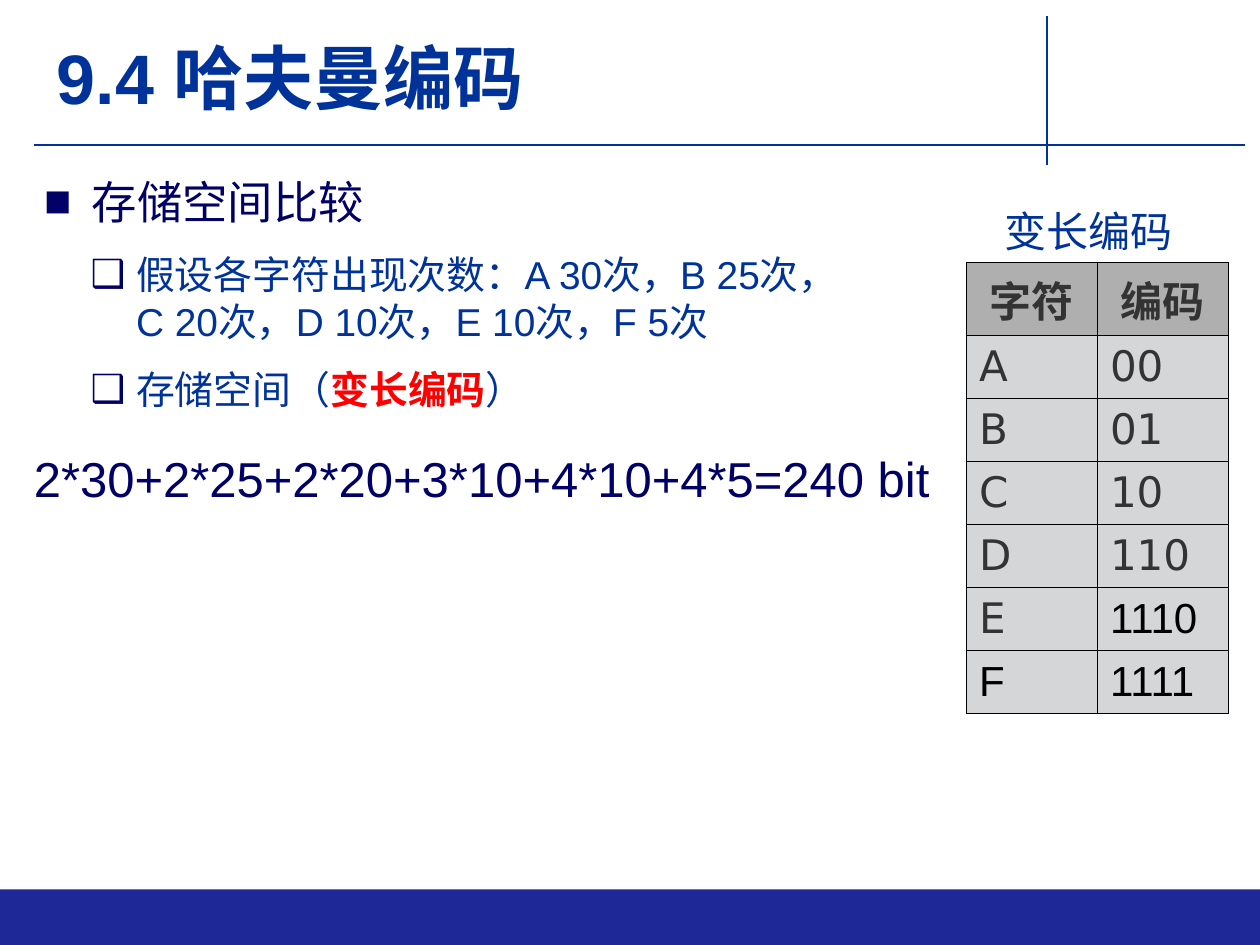
from dataclasses import dataclass

from lxml import etree
from pptx import Presentation
from pptx.dml.color import RGBColor
from pptx.enum.shapes import MSO_CONNECTOR, MSO_SHAPE
from pptx.enum.text import MSO_ANCHOR, MSO_AUTO_SIZE, PP_ALIGN
from pptx.oxml.ns import qn
from pptx.util import Emu, Inches, Pt

STRAIGHT = MSO_CONNECTOR.STRAIGHT
RECTANGLE = MSO_SHAPE.RECTANGLE
TOP, MIDDLE = MSO_ANCHOR.TOP, MSO_ANCHOR.MIDDLE
NO_AUTOFIT = MSO_AUTO_SIZE.NONE
LEFT, CENTER = PP_ALIGN.LEFT, PP_ALIGN.CENTER

BLUE = RGBColor(0x00, 0x33, 0x99)
NAVY = RGBColor(0x00, 0x00, 0x66)
BAND_BLUE = RGBColor(0x1E, 0x28, 0x96)
RED = RGBColor(0xFF, 0x00, 0x00)
BLACK = RGBColor(0x00, 0x00, 0x00)
DARK_GRAY = RGBColor(0x33, 0x33, 0x33)
HEADER_GRAY = RGBColor(0xAF, 0xAF, 0xAF)
CELL_GRAY = RGBColor(0xD5, 0xD6, 0xD7)

# The slide is a grid of 100 columns and 75 rows.
SLIDE_WIDTH, SLIDE_HEIGHT = Inches(10), Inches(7.5)
COLUMN, ROW = SLIDE_WIDTH / 100, SLIDE_HEIGHT / 75


@dataclass(frozen=True)
class Box:
    """An area given in grid columns and rows."""
    left: float
    top: float
    width: float
    height: float

    def emu(self) -> tuple[Emu, Emu, Emu, Emu]:
        return (Emu(round(self.left * COLUMN)), Emu(round(self.top * ROW)),
                Emu(round(self.width * COLUMN)), Emu(round(self.height * ROW)))


@dataclass(frozen=True)
class TextStyle:
    size: float
    color: RGBColor
    name: str = "Arial"
    bold: bool = False


@dataclass(frozen=True)
class Bullet:
    runs: tuple[str, ...]
    level: int
    symbol: str
    margin: float
    hanging: float
    spacing: float
    style: TextStyle
    emphasis: str = ""


@dataclass(frozen=True)
class CodeCell:
    label: str
    style: TextStyle


TITLE = TextStyle(40, BLUE, bold=True)
TOPIC = TextStyle(25.9, NAVY)
DETAIL = TextStyle(22.2, BLUE)
CAPTION = TextStyle(24, BLUE)
FORMULA = TextStyle(28, NAVY)
HEADER = TextStyle(24, DARK_GRAY, "DejaVu Sans", True)
CODE = TextStyle(24, DARK_GRAY, "DejaVu Sans")
NEW_CODE = TextStyle(24, BLACK)

RULES = (Box(2.7, 11.5, 96.1, 0), Box(83.1, 1.3, 0, 11.8))
BULLETS = (
    Bullet(("存储空间比较",), 0, "■", 0.38, 0.38, 7, TOPIC),
    Bullet(("假设各字符出现次数：A 30次，B 25次，\vC 20次，D 10次，E 10次，F 5次",),
           1, "❑", 0.73, 0.36, 6, DETAIL),
    Bullet(("存储空间（", "变长编码", "）"), 1, "❑", 0.73, 0.36, 6, DETAIL, "变长编码"),
)
CODE_TABLE = (
    (CodeCell("字符", HEADER), CodeCell("编码", HEADER)),
    (CodeCell("A", CODE), CodeCell("00", CODE)),
    (CodeCell("B", CODE), CodeCell("01", CODE)),
    (CodeCell("C", CODE), CodeCell("10", CODE)),
    (CodeCell("D", CODE), CodeCell("110", CODE)),
    (CodeCell("E", CODE), CodeCell("1110", NEW_CODE)),
    (CodeCell("F", NEW_CODE), CodeCell("1111", NEW_CODE)),
)


def apply_style(font, style: TextStyle) -> None:
    font.size, font.name, font.bold = Pt(style.size), style.name, style.bold
    font.color.rgb = style.color


def set_spacing(paragraph, points: float) -> None:
    paragraph.space_before = paragraph.space_after = Pt(points)


def place(shape, box: Box) -> None:
    shape.left, shape.top, shape.width, shape.height = box.emu()


def add_band(slide, box: Box) -> None:
    band = slide.shapes.add_shape(RECTANGLE, *box.emu())
    band.shadow.inherit = False
    band.fill.solid()
    band.fill.fore_color.rgb = BAND_BLUE
    band.line.fill.background()


def add_rule(slide, box: Box) -> None:
    left, top, width, height = box.emu()
    rule = slide.shapes.add_connector(STRAIGHT, left, top, left + width, top + height)
    rule.line.color.rgb = BLUE
    rule.line.width = Pt(1.5)
    etree.SubElement(rule._element.spPr, qn("a:effectLst"))


def fill_title(title, box: Box, wording: str) -> None:
    place(title, box)
    title.text_frame.auto_size = NO_AUTOFIT
    title.text_frame.vertical_anchor = MIDDLE
    paragraph = title.text_frame.paragraphs[0]
    paragraph.text, paragraph.alignment = wording, LEFT
    apply_style(paragraph.font, TITLE)


def set_bullet_symbol(paragraph, bullet: Bullet) -> None:
    properties = paragraph._p.get_or_add_pPr()
    properties.set("marL", str(Inches(bullet.margin)))
    properties.set("indent", str(-Inches(bullet.hanging)))
    color = etree.SubElement(properties, qn("a:buClr"))
    etree.SubElement(color, qn("a:srgbClr"), val=str(NAVY))
    etree.SubElement(properties, qn("a:buChar"), char=bullet.symbol)


def fill_body(body, box: Box, bullets: tuple[Bullet, ...]) -> None:
    place(body, box)
    frame = body.text_frame
    frame.auto_size, frame.vertical_anchor = NO_AUTOFIT, TOP
    for index, bullet in enumerate(bullets):
        paragraph = frame.add_paragraph() if index else frame.paragraphs[0]
        paragraph.level = bullet.level
        set_spacing(paragraph, bullet.spacing)
        set_bullet_symbol(paragraph, bullet)
        apply_style(paragraph.font, bullet.style)
        if len(bullet.runs) == 1:
            paragraph.text = bullet.runs[0]
            continue
        for wording in bullet.runs:
            run = paragraph.add_run()
            run.text = wording
            if wording == bullet.emphasis:
                run.font.bold, run.font.color.rgb = True, RED


def add_label(slide, box: Box, wording: str, style: TextStyle, spacing: float = 0) -> None:
    frame = slide.shapes.add_textbox(*box.emu()).text_frame
    frame.word_wrap = True
    paragraph = frame.paragraphs[0]
    paragraph.text = wording
    set_spacing(paragraph, spacing)
    apply_style(paragraph.font, style)


def set_borders(cell) -> None:
    properties = cell._tc.get_or_add_tcPr()
    for side in ("a:lnL", "a:lnR", "a:lnT", "a:lnB"):
        border = etree.SubElement(properties, qn(side), w=str(Pt(0.34)))
        fill = etree.SubElement(border, qn("a:solidFill"))
        etree.SubElement(fill, qn("a:srgbClr"), val=str(BLACK))


def add_code_table(slide, box: Box, rows: tuple[tuple[CodeCell, ...], ...]) -> None:
    table = slide.shapes.add_table(len(rows), len(rows[0]), *box.emu()).table
    for row_index, row in enumerate(rows):
        for column_index, entry in enumerate(row):
            cell = table.cell(row_index, column_index)
            is_header = row_index == 0
            set_borders(cell)
            cell.fill.solid()
            cell.fill.fore_color.rgb = HEADER_GRAY if is_header else CELL_GRAY
            cell.vertical_anchor = MIDDLE
            paragraph = cell.text_frame.paragraphs[0]
            paragraph.text = entry.label
            paragraph.alignment = CENTER if is_header else LEFT
            set_spacing(paragraph, 6)
            apply_style(paragraph.font, entry.style)


def main() -> None:
    presentation = Presentation()
    presentation.slide_width, presentation.slide_height = SLIDE_WIDTH, SLIDE_HEIGHT
    slide = presentation.slides.add_slide(presentation.slide_layouts[1])
    fill_title(slide.shapes.title, Box(3.5, 2.1, 77.9, 7.9), "9.4 哈夫曼编码")
    fill_body(slide.placeholders[1], Box(2.5, 13.3, 71.7, 23.6), BULLETS)
    add_band(slide, Box(0, 70.6, 100, 4.4))
    for rule in RULES:
        add_rule(slide, rule)
    add_code_table(slide, Box(76.7, 20.8, 20.8, 35), CODE_TABLE)
    add_label(slide, Box(78.7, 15.8, 17.1, 4.2), "变长编码", CAPTION)
    add_label(slide, Box(1.7, 35.1, 74.2, 7.5),
              "2*30+2*25+2*20+3*10+4*10+4*5=240 bit", FORMULA, 7)
    presentation.save("out.pptx")


if __name__ == "__main__":
    main()
